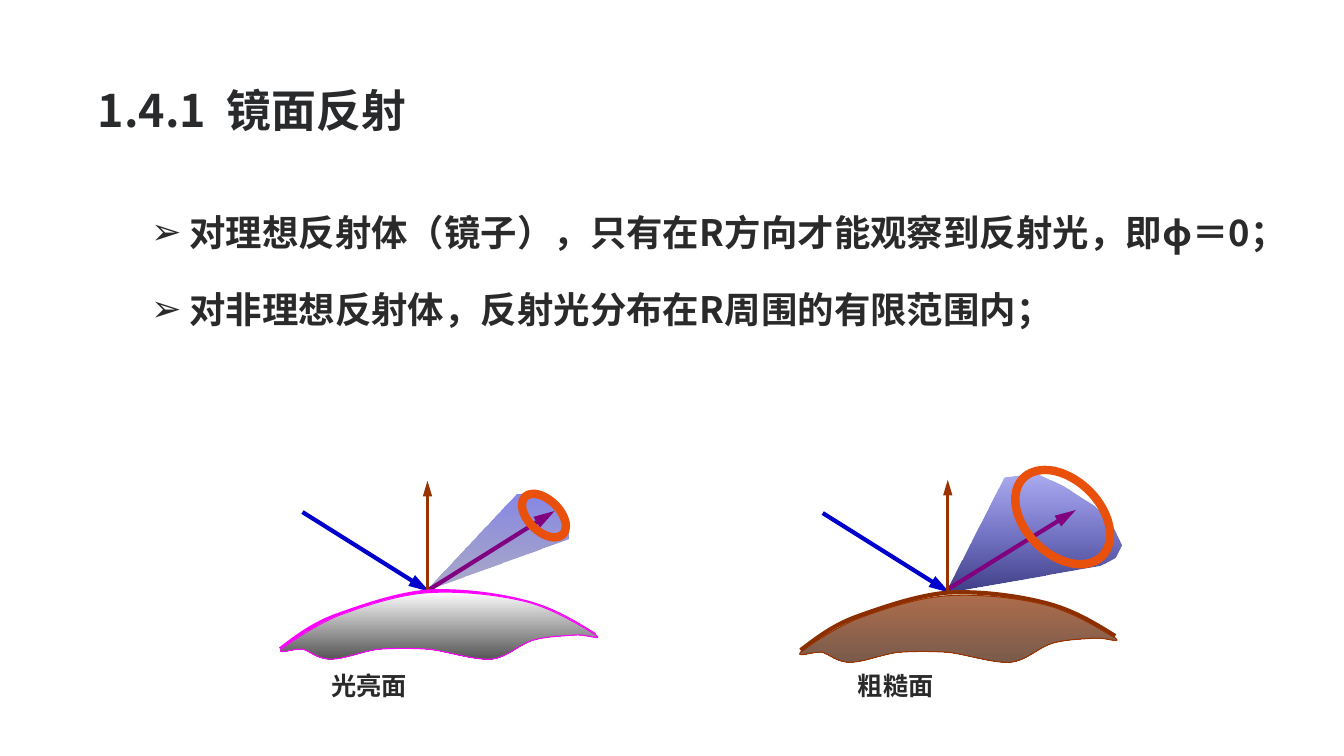
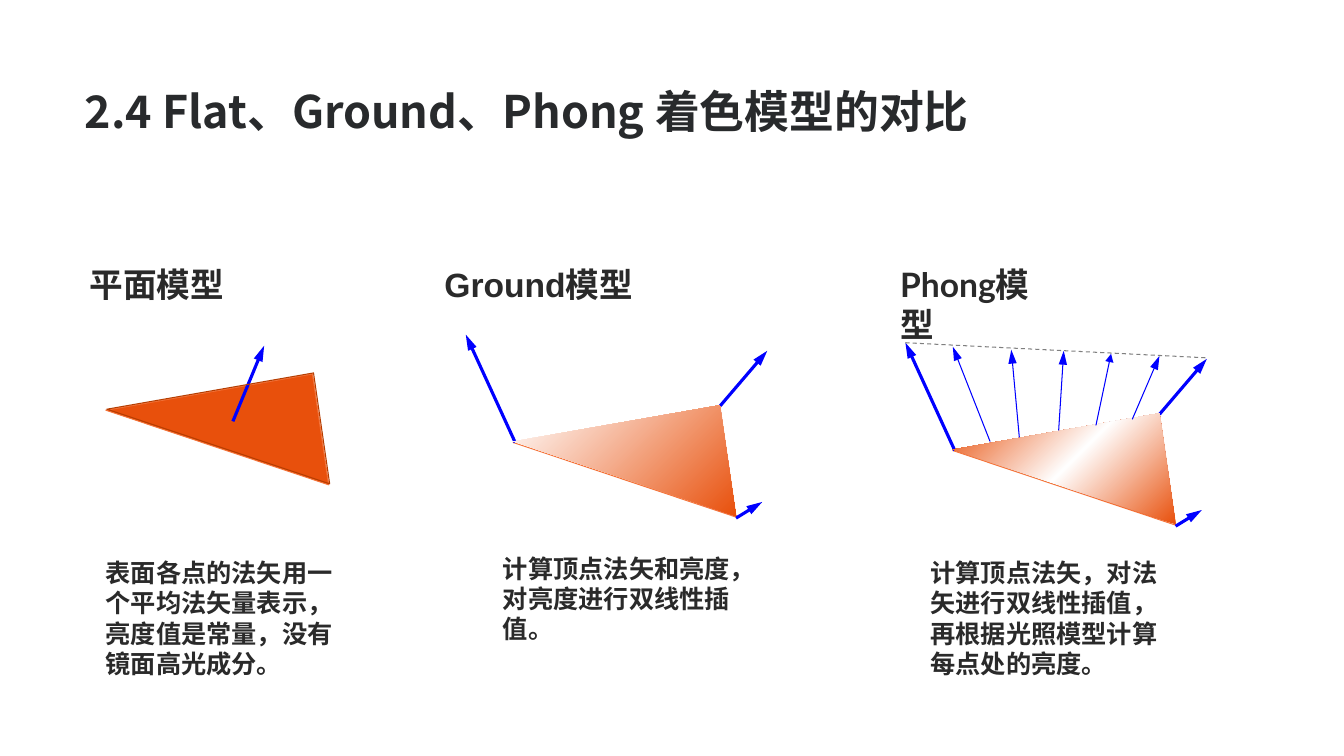
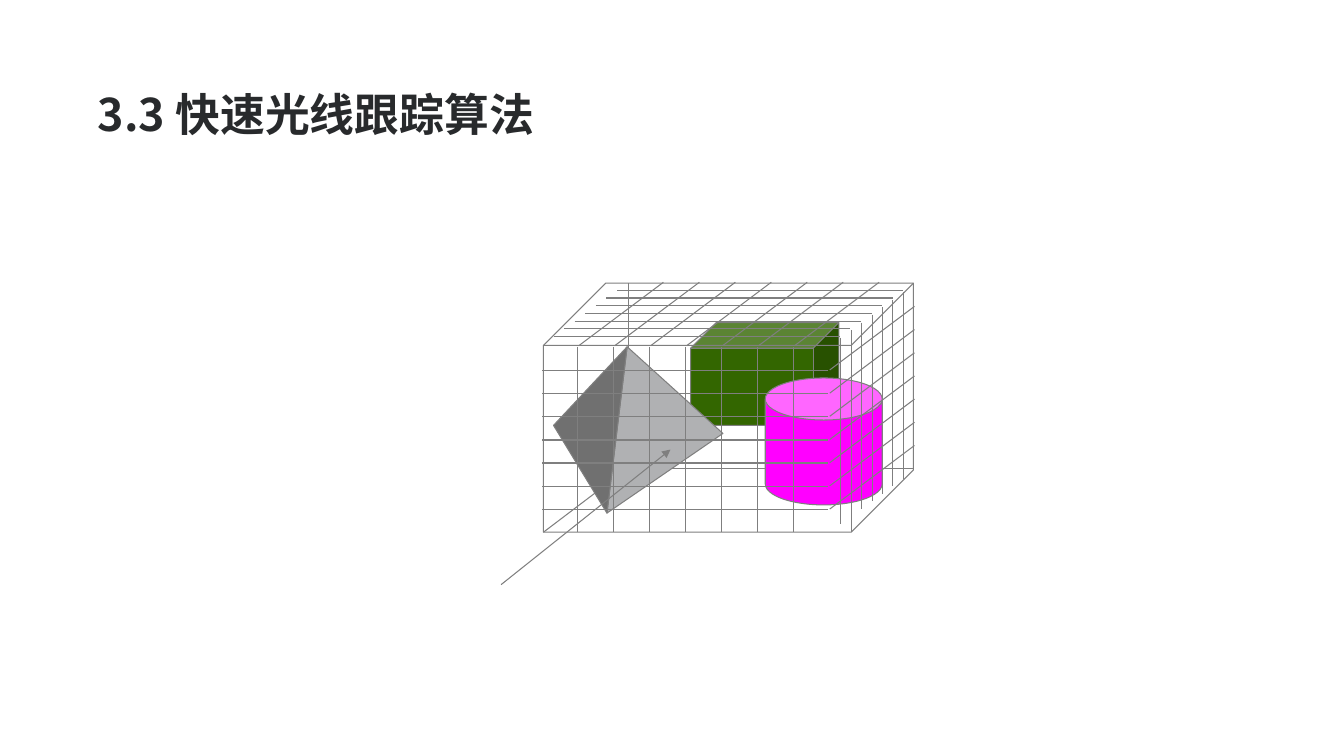
from lxml import etree
from pptx import Presentation
from pptx import util as u
from pptx.dml.color import RGBColor
from pptx.enum import dml, shapes, text
from pptx.oxml.ns import qn

COLORS = {
    "title": "282A2C", "text": "2A2A2A", "incident": "0000CC", "cone_end": "00005E",
    "reflected": "800080", "ring": "E8500C", "normal": "993300", "gloss": "FF00FF",
    "white": "FFFFFF", "gloss_end": "535353", "rough": "8C2F00", "rough_end": "411600",
    "orange": "E8500C", "orange_edge": "F57339", "flat_edge": "B63D00", "vector": "0000FF",
    "grid": "7F7F7F", "box": "336600", "pyramid": "B0B1B3", "pyramid_dark": "707070",
    "cylinder": "FF00FF",
}
CJK = "Noto Sans CJK SC"
PRESET = shapes.MSO_SHAPE


def write(slide, content, box, size=18, font="Arial", color="text", title=False,
          bullet=None, inset=0.05, before=0):
    left, top, width, height = [u.Inches(v) for v in box]
    if title:
        holder = slide.shapes.title
        holder.left, holder.top, holder.width, holder.height = left, top, width, height
    else:
        holder = slide.shapes.add_textbox(left, top, width, height)
    frame = holder.text_frame
    frame.word_wrap = True
    frame.auto_size = text.MSO_AUTO_SIZE.NONE
    frame.vertical_anchor = text.MSO_ANCHOR.MIDDLE if title else text.MSO_ANCHOR.TOP
    frame.margin_left = frame.margin_right = u.Inches(0.05 if title else 0.1)
    frame.margin_top = frame.margin_bottom = u.Inches(inset)
    for i, line in enumerate(content.split("\n")):
        paragraph = frame.add_paragraph() if i else frame.paragraphs[0]
        paragraph.alignment = text.PP_ALIGN.LEFT
        if title:
            paragraph.line_spacing = 0.9
        if bullet:
            props = paragraph._p.get_or_add_pPr()
            props.set("marL", str(u.Inches(0.78)))
            props.set("indent", str(u.Inches(-0.38)))
            etree.SubElement(props, qn("a:buFont"), typeface="Arial")
            etree.SubElement(props, qn("a:buChar"), char=bullet)
        if i and before:
            paragraph.space_before = u.Pt(before)
        run = paragraph.add_run()
        run.text = line
        run.font.size = u.Pt(size)
        run.font.bold = True
        run.font.name = font
        run.font.color.rgb = RGBColor.from_string(COLORS[color])
        etree.SubElement(run._r.get_or_add_rPr(), qn("a:ea"), typeface=CJK)


def draw(slide, points, preset=None, fill=None, angle=90, line=None, width=0.75, arrow=None,
         dash=False, closed=True, curved=False, rotation=0, adjust=None):
    spots = [(u.Inches(x), u.Inches(y)) for x, y in points]
    straight = len(spots) == 2 and preset is None
    if straight:
        figure = slide.shapes.add_connector(shapes.MSO_CONNECTOR.STRAIGHT, *spots[0], *spots[1])
    elif preset is not None:
        figure = slide.shapes.add_shape(preset, *spots[0], *spots[1])
        figure.rotation = rotation
        if adjust:
            figure.adjustments[0] = adjust
    else:
        builder = slide.shapes.build_freeform(*spots[0])
        builder.add_line_segments(spots[1:], close=closed)
        figure = builder.convert_to_shape()
    if curved:
        segments = list(figure._element.spPr.iter(qn("a:lnTo")))
        for i in range(0, len(segments) - 2, 3):
            bend = etree.Element(qn("a:cubicBezTo"))
            segments[i].addprevious(bend)
            for segment in segments[i:i + 3]:
                bend.append(segment[0])
                segment.getparent().remove(segment)
    if line:
        figure.line.color.rgb = RGBColor.from_string(COLORS[line])
        figure.line.width = u.Pt(width)
        if dash:
            figure.line.dash_style = dml.MSO_LINE.DASH
        if arrow:
            outline = figure._element.spPr.find(qn("a:ln"))
            etree.SubElement(outline, qn("a:tailEnd"), type="triangle", w="med", len=arrow)
    else:
        figure.line.fill.background()
    if straight:
        etree.SubElement(figure._element.spPr, qn("a:effectLst"))
        return
    figure.shadow.inherit = False
    if fill is None:
        figure.fill.background()
    elif isinstance(fill, str):
        figure.fill.solid()
        figure.fill.fore_color.rgb = RGBColor.from_string(COLORS[fill])
    else:
        figure.fill.gradient()
        figure.fill.gradient_angle = 360 - angle
        stops = figure._element.spPr.find(qn("a:gradFill")).find(qn("a:gsLst"))
        for stop in list(stops):
            stops.remove(stop)
        for i, (color, opacity) in enumerate(fill):
            stop = etree.SubElement(stops, qn("a:gs"), pos=str(100000 * i // (len(fill) - 1)))
            tint = etree.SubElement(stop, qn("a:srgbClr"), val=COLORS[color])
            if opacity < 100:
                etree.SubElement(tint, qn("a:alpha"), val=str(opacity * 1000))


prs = Presentation()
prs.slide_width, prs.slide_height = u.Inches(13.33), u.Inches(7.5)
titles = [
    ("1.4.1  镜面反射", (0.92, 0.4, 11.5, 1.45)),
    ("2.4 Flat、Ground、Phong 着色模型的对比", (0.79, 0.36, 10.44, 1.55)),
    ("3.3 快速光线跟踪算法", (0.92, 0.36, 11.36, 1.6)),
]
slides = []
for heading, box in titles:
    slide = prs.slides.add_slide(prs.slide_layouts[5])
    write(slide, heading, box, size=32, font=CJK, color="title", title=True)
    slides.append(slide)
reflection, shading, tracing = slides

write(reflection, "对理想反射体（镜子），只有在R方向才能观察到反射光，即ϕ＝0；\n"
      "对非理想反射体，反射光分布在R周围的有限范围内；",
      (1, 1.98, 11.92, 4.5), size=26, font=CJK, bullet="➢", inset=0.1, before=24)

narrow_cone = [(4.22, 5.86), (5.12, 4.91), (5.33, 4.91), (5.54, 5.07), (5.64, 5.23), (5.64, 5.35)]
wide_cone = [(9.38, 5.88), (9.96, 4.74), (10.28, 4.7), (10.54, 4.82), (10.85, 5.02),
             (11.01, 5.18), (11.12, 5.41), (11.06, 5.53), (10.91, 5.61)]
lobes = [
    ([(3, 5.08), (4.26, 5.87)], narrow_cone, (48, 33), [(4.24, 5.86), (5.5, 5.07)],
     [(5.24, 4.85), (0.31, 0.53)], [(4.24, 5.87), (4.24, 4.77)]),
    ([(8.16, 5.09), (9.42, 5.88)], wide_cone, (33, 76), [(9.41, 5.84), (10.67, 5.06)],
     [(10.17, 4.58), (0.74, 1.1)], [(9.4, 5.86), (9.4, 4.76)]),
]
for incident, cone, (near, far), reflected, ring, normal in lobes:
    draw(reflection, incident, line="incident", width=3, arrow="lg")
    draw(reflection, cone, fill=[("incident", near), ("cone_end", far)])
    draw(reflection, reflected, line="reflected", width=3, arrow="lg")
    draw(reflection, ring, PRESET.OVAL, line="ring", width=6, rotation=314.6)
    draw(reflection, normal, line="normal", width=2.25, arrow="lg")

rim = [(2.78, 6.44), (2.94, 6.32), (3.09, 6.2), (3.33, 6.11), (3.58, 6.02), (3.92, 5.9),
       (4.23, 5.87), (4.55, 5.85), (4.93, 5.9), (5.2, 5.97), (5.48, 6.04), (5.69, 6.17),
       (5.9, 6.3)]
body = [(2.79, 6.44), (2.85, 6.39), (3.11, 6.21), (3.35, 6.11), (3.59, 6.02), (3.94, 5.9),
        (4.25, 5.88), (4.56, 5.86), (4.94, 5.9), (5.22, 5.97), (5.5, 6.04), (5.83, 6.25),
        (5.91, 6.3), (5.99, 6.36), (5.81, 6.29), (5.7, 6.3), (5.6, 6.31), (5.43, 6.31),
        (5.29, 6.35), (5.15, 6.39), (5.04, 6.52), (4.87, 6.54), (4.7, 6.55), (4.43, 6.46),
        (4.25, 6.44), (4.06, 6.43), (3.93, 6.43), (3.76, 6.44), (3.6, 6.46), (3.41, 6.54),
        (3.28, 6.54), (3.15, 6.54), (3.08, 6.46), (3, 6.44), (2.92, 6.43), (2.74, 6.5),
        (2.79, 6.44)]
surfaces = [
    ("光亮面", 3.19, (0, 0), (0, 0), "gloss", "gloss", [("white", 100), ("gloss_end", 100)]),
    ("粗糙面", 8.41, (5.16, 0.01), (5.15, 0.03), "rough", "normal",
     [("rough", 70), ("rough_end", 70)]),
]
for label, left, rim_shift, body_shift, rim_color, edge, shade in surfaces:
    draw(reflection, [(x + rim_shift[0], y + rim_shift[1]) for x, y in rim],
         line=rim_color, width=3, closed=False, curved=True)
    draw(reflection, [(x + body_shift[0], y + body_shift[1]) for x, y in body],
         fill=shade, line=edge, curved=True)
    write(reflection, label, (left, 6.6, 2.52, 0.4))

triangle = [(0, 0.36), (2.05, 0), (2.21, 1.1)]
vertex_normals = [[(0.02, 0.37), (-0.47, -0.7)], [(2.21, 1.12), (2.47, 0.96)],
                  [(2.05, 0.01), (2.52, -0.54)]]
interpolated = [
    (5.09, 4.02, [("white", 100), ("orange", 100)]),
    (9.45, 4.1, [("orange", 100), ("white", 100), ("orange", 100)]),
]
for left, top, shade in interpolated:
    draw(shading, [(left + x, top + y + 0.01) for x, y in triangle], line="orange_edge")
    for normal in vertex_normals:
        draw(shading, [(left + x, top + y) for x, y in normal],
             line="vector", width=2.25, arrow="lg")
    draw(shading, [(left + x, top + y) for x, y in triangle], fill=shade, angle=45)

draw(shading, [(1.05 + x, 3.71 + y) for x, y in triangle], fill="orange", line="orange_edge")
draw(shading, [(2.31, 4.18), (2.62, 3.43)], line="vector", width=2.25, arrow="lg")
draw(shading, [(1.06 + x, 3.7 + y) for x, y in triangle], line="flat_edge")

draw(shading, [(8.98, 3.4), (11.97, 3.55)], line="grid", dash=True)
edge_normals = [
    ([(10.87, 4.22), (11.02, 3.51)], "med"),
    ([(9.82, 4.38), (9.45, 3.44)], "lg"),
    ([(10.11, 4.34), (10.03, 3.47)], "lg"),
    ([(10.5, 4.27), (10.55, 3.48)], "lg"),
    ([(11.23, 4.16), (11.5, 3.53)], "lg"),
]
for normal, head in edge_normals:
    draw(shading, normal, line="vector", arrow=head)

models = [
    ("平面模型", "Arial", (0.79, 2.57, 2.31, 0.5),
     "表面各点的法矢用一个平均法矢量表示，亮度值是常量，没有镜面高光成分。", (0.95, 5.48, 2.68, 1.31)),
    ("Ground模型", "Arial", (4.31, 2.57, 3.41, 0.5),
     "计算顶点法矢和亮度，对亮度进行双线性插值。", (4.89, 5.44, 2.68, 1)),
    ("Phong模型", "Lato", (8.83, 2.57, 1.72, 0.5),
     "计算顶点法矢，对法矢进行双线性插值，再根据光照模型计算每点处的亮度。", (9.13, 5.48, 2.68, 1.31)),
]
for model, font, model_box, summary, summary_box in models:
    write(shading, model, model_box, size=24, font=font)
    write(shading, summary, summary_box)

for hidden_edge in ([(6.23, 2.81), (6.23, 4.65)], [(5.39, 5.28), (6.22, 4.65)],
                    [(6.23, 4.65), (9.06, 4.65)]):
    draw(tracing, hidden_edge, line="grid")
draw(tracing, [(6.85, 3.2), (1.47, 1.02)], PRESET.CUBE, fill="box", line="grid", adjust=0.25)
draw(tracing, [(6.22, 3.44), (6.02, 5.09), (7.17, 4.3)], fill="pyramid", line="grid")
draw(tracing, [(6.22, 3.44), (5.49, 4.22), (6.02, 5.09)], fill="pyramid_dark", line="grid")
draw(tracing, [(7.59, 3.75), (1.16, 1.26)], PRESET.CAN, fill="cylinder", line="grid", adjust=0.36)
draw(tracing, [(5.39, 2.81), (3.67, 2.47)], PRESET.CUBE, line="grid", adjust=0.25)
draw(tracing, [(4.97, 5.8), (6.65, 4.46)], line="grid", arrow="med")

grid_families = [
    ((5.38, 3.68), (5.38, 5.05), (2.83, 0)),
    ((5.73, 3.44), (7.87, 3.44), (0, 1.84)),
    ((8.34, 3.35), (8.96, 2.9), (0, 1.85)),
    ((8.23, 3.67), (8.23, 5.05), (0.84, -0.63)),
    ((5.49, 3.34), (6.12, 2.88), (2.84, 0)),
    ((5.74, 3.43), (7.88, 3.43), (0.84, -0.63)),
]
for (first_x, first_y), (last_x, last_y), (run_x, run_y) in grid_families:
    for i in range(7):
        x = first_x + (last_x - first_x) * i / 6
        y = first_y + (last_y - first_y) * i / 6
        draw(tracing, [(x, y), (x + run_x, y + run_y)], line="grid")

prs.save("out.pptx")
